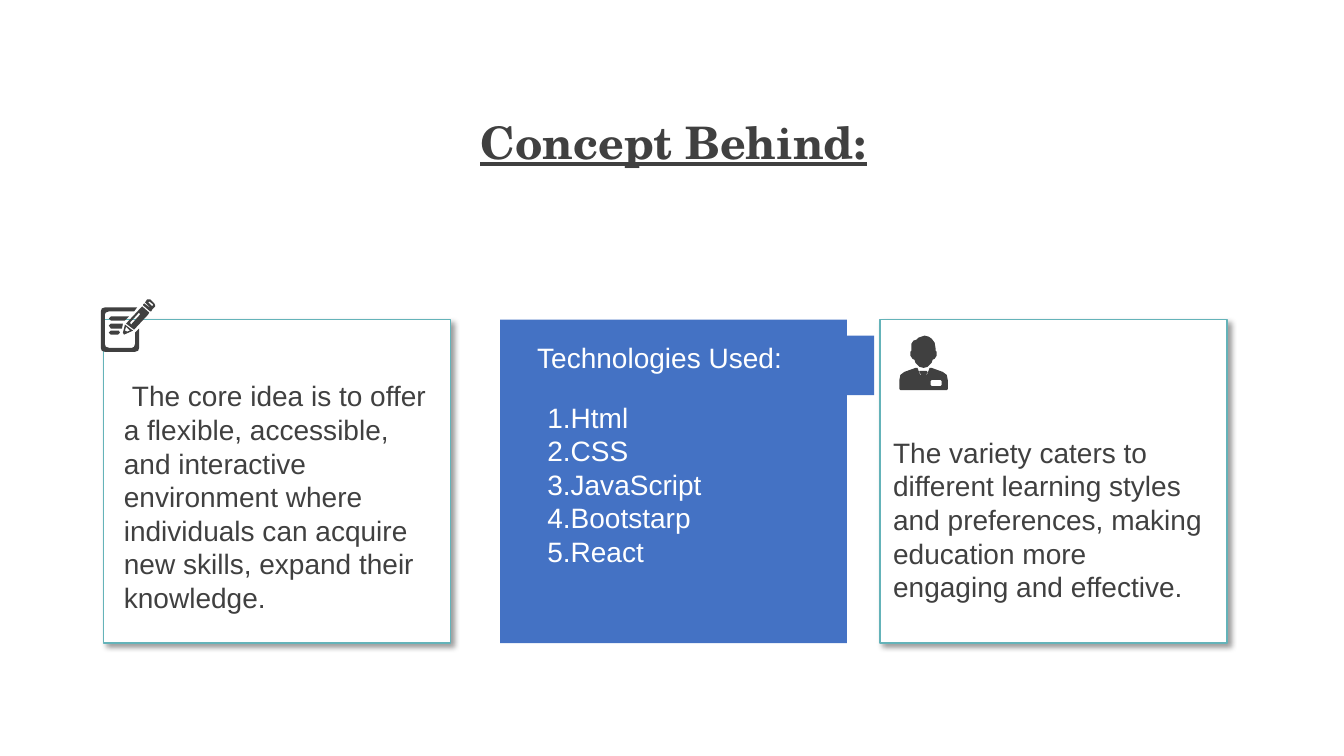
from typing import NamedTuple

from lxml import etree
from pptx import Presentation
from pptx.dml.color import RGBColor
from pptx.enum.shapes import MSO_SHAPE
from pptx.enum.text import MSO_ANCHOR, PP_ALIGN
from pptx.oxml.ns import qn
from pptx.shapes.autoshape import Shape
from pptx.slide import Slide
from pptx.util import Inches, Pt

RECTANGLE = MSO_SHAPE.RECTANGLE
LEFT, CENTER = PP_ALIGN.LEFT, PP_ALIGN.CENTER
TOP = MSO_ANCHOR.TOP

DARK, WHITE, BLUE, TEAL, BLACK = "404040", "FFFFFF", "4472C4", "64B3B9", "000000"
CARD_TOP, CARD_WIDTH, CARD_HEIGHT = 3.17, 3.44, 3.21

Contour = list[tuple[int, int]]


class Area(NamedTuple):
    left: float
    top: float
    width: float
    height: float


class Panel(NamedTuple):
    area: Area
    fill: str
    outlined: bool = False


class TextBlock(NamedTuple):
    area: Area
    lines: list[str]
    color: str = DARK
    size: int = 20
    font: str = "Arial"
    bold: bool = False
    underline: bool = False
    align: PP_ALIGN = LEFT
    first_indent: float = 0


class Icon(NamedTuple):
    """Contours are in hundredths of an inch from left and top; inner ones are holes."""
    left: float
    top: float
    contours: list[Contour]


def card_area(left: float) -> Area:
    return Area(left, CARD_TOP, CARD_WIDTH, CARD_HEIGHT)


PANELS = [
    Panel(card_area(1.03), WHITE, outlined=True),
    Panel(card_area(4.96), BLUE),
    Panel(Area(5.23, 3.33, CARD_WIDTH, 0.59), BLUE),
    Panel(card_area(8.73), WHITE, outlined=True),
]

TEXTS = [
    TextBlock(Area(3.95, 1.09, 5.46, 0.64), ["Concept Behind:"], size=32,
              font="TeX Gyre Schola", bold=True, underline=True, align=CENTER),
    TextBlock(Area(1.13, 3.71, 3.32, 2.46),
              ["The core idea is to offer a flexible, accessible, and interactive "
               "environment where individuals can acquire new skills, expand their "
               "knowledge."], first_indent=0.08),
    TextBlock(Area(5.23, 3.33, CARD_WIDTH, 0.59), ["Technologies Used:"], color=WHITE),
    TextBlock(Area(5.33, 3.92, 2.67, 1.77),
              ["1.Html", "2.CSS", "3.JavaScript", "4.Bootstarp", "5.React"], color=WHITE),
    TextBlock(Area(8.76, 4.27, 3.32, 1.77),
              ["The variety caters to different learning styles and preferences, "
               "making education more engaging and effective."]),
]

NOTEPAD = Icon(1.0, 2.97, [
    # page frame and its three text lines
    [(4, 8), (36, 8), (33, 12), (8, 12), (5, 13), (4, 15), (4, 44), (5, 47), (8, 48),
     (31, 48), (33, 47), (34, 44), (34, 33), (38, 29), (38, 48), (37, 51), (34, 52),
     (4, 52), (1, 51), (0, 48), (0, 12), (1, 9)],
    [(10, 17), (28, 17), (24, 21), (10, 21), (8, 19)],
    [(10, 24), (22, 24), (21, 29), (10, 29), (8, 26)],
    [(10, 31), (18, 31), (19, 33), (17, 35), (10, 35), (8, 33)],
    # pencil tip, body, band and eraser
    [(24, 25), (32, 31), (23, 35), (22, 33)],
    [(25, 27), (24, 31), (26, 32), (29, 31)],
    [(41, 7), (48, 13), (47, 15), (33, 30), (25, 24), (26, 23), (40, 8)],
    [(38, 13), (29, 23), (30, 25), (39, 15)],
    [(43, 4), (51, 10), (50, 12), (49, 12), (42, 6), (42, 5)],
    [(48, 0), (49, 0), (53, 4), (54, 6), (54, 7), (51, 10), (44, 3), (46, 0)],
    [(48, 2), (47, 3), (51, 7), (52, 5)],
])

PERSON = Icon(8.92, 3.33, [
    # head, suit and badge
    [(25, 0), (29, 1), (32, 3), (35, 7), (36, 13), (36, 15), (37, 16), (37, 20),
     (35, 23), (33, 24), (32, 27), (30, 29), (28, 31), (24, 32), (20, 31), (18, 29),
     (16, 27), (15, 24), (13, 23), (11, 20), (11, 16), (12, 15), (12, 8), (14, 5),
     (17, 4), (19, 2), (22, 1)],
    [(16, 32), (18, 32), (21, 40), (21, 38), (20, 36), (20, 35), (27, 35), (28, 36),
     (27, 38), (27, 40), (30, 32), (32, 32), (43, 36), (47, 39), (48, 44), (48, 53),
     (47, 54), (1, 54), (0, 53), (0, 44), (1, 39), (5, 36)],
    [(32, 44), (41, 44), (42, 45), (42, 49), (41, 50), (32, 50), (31, 49), (31, 45)],
])


def rgb(color: str) -> RGBColor:
    return RGBColor.from_string(color)


def paint(shape: Shape, fill: str) -> None:
    shape.shadow.inherit = False
    shape.fill.solid()
    shape.fill.fore_color.rgb = rgb(fill)
    shape.line.fill.background()


def add_shadow(shape: Shape) -> None:
    effects = shape._element.spPr.find(qn("a:effectLst"))
    shadow = etree.SubElement(effects, qn("a:outerShdw"), blurRad=str(Pt(4)),
                              dist=str(Pt(3)), dir=str(45 * 60000),
                              algn="tl", rotWithShape="0")
    color = etree.SubElement(shadow, qn("a:srgbClr"), val=BLACK)
    etree.SubElement(color, qn("a:alpha"), val="40000")


def add_panel(page: Slide, panel: Panel) -> None:
    box = page.shapes.add_shape(RECTANGLE, *map(Inches, panel.area))
    paint(box, panel.fill)
    if panel.outlined:
        box.line.color.rgb = rgb(TEAL)
        box.line.width = Pt(1)
        add_shadow(box)


def add_text(page: Slide, area: Area, lines: list[str], *, color: str, size: int,
             font: str, bold: bool, underline: bool, align: PP_ALIGN,
             first_indent: float) -> None:
    frame = page.shapes.add_textbox(*map(Inches, area)).text_frame
    frame.word_wrap = True
    frame.vertical_anchor = TOP
    for index, line in enumerate(lines):
        para = frame.add_paragraph() if index else frame.paragraphs[0]
        para.alignment = align
        if first_indent:
            para._p.get_or_add_pPr().set("indent", str(Inches(first_indent)))
        span = para.add_run()
        span.text = line
        span.font.name = font
        span.font.size = Pt(size)
        span.font.bold = bold
        span.font.underline = underline
        span.font.color.rgb = rgb(color)


def add_icon(page: Slide, icon: Icon) -> None:
    first, *others = icon.contours
    builder = page.shapes.build_freeform(*first[0], scale=Inches(0.01))
    builder.add_line_segments(first[1:], close=True)
    for contour in others:
        builder.move_to(*contour[0])
        builder.add_line_segments(contour[1:], close=True)
    paint(builder.convert_to_shape(Inches(icon.left), Inches(icon.top)), DARK)


def main() -> None:
    deck = Presentation()
    deck.slide_width, deck.slide_height = Inches(13.33), Inches(7.5)
    page = deck.slides.add_slide(deck.slide_layouts[6])
    for panel in PANELS:
        add_panel(page, panel)
    for icon in (NOTEPAD, PERSON):
        add_icon(page, icon)
    for block in TEXTS:
        add_text(page, **block._asdict())
    deck.save("out.pptx")


if __name__ == "__main__":
    main()
